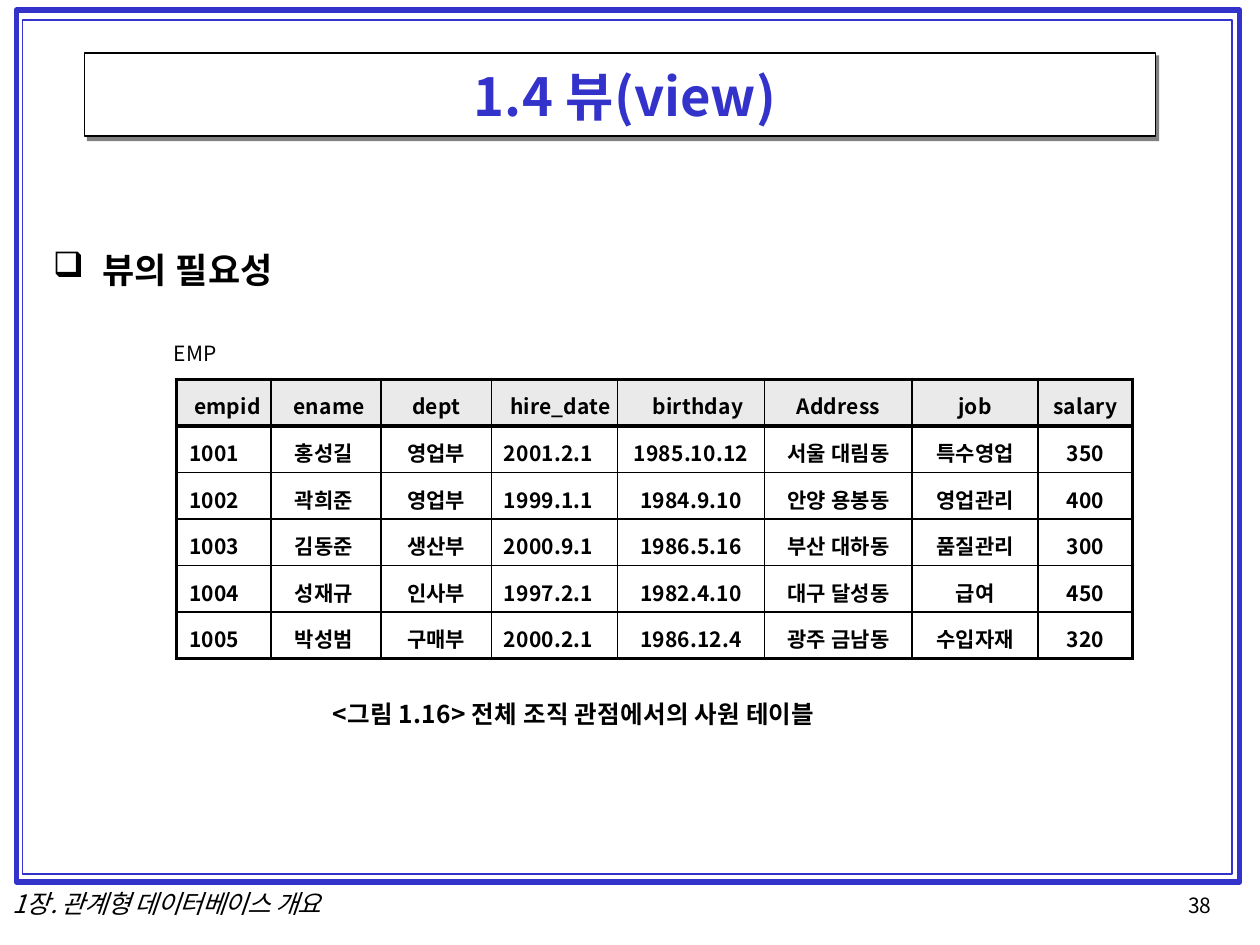
from lxml import etree
from pptx import Presentation
from pptx.dml.color import RGBColor
from pptx.enum.shapes import MSO_SHAPE
from pptx.enum.text import PP_ALIGN
from pptx.oxml.ns import qn
from pptx.util import Inches, Pt

BLUE = RGBColor(0x33, 0x33, 0xCC)
BLACK = RGBColor(0, 0, 0)
GRAY = RGBColor(0x80, 0x80, 0x80)
HEADER_GRAY = RGBColor(0xEA, 0xEA, 0xEA)
RECTANGLE = MSO_SHAPE.RECTANGLE
LEFT, CENTER = PP_ALIGN.LEFT, PP_ALIGN.CENTER
FONT = "Noto Sans CJK KR"
THIN, THICK = 1, 2.25

COLUMN_WIDTHS = [7.5, 8.75, 8.75, 10, 11.7, 11.7, 10, 7.5]
HEADER_INDENTS = [1.4, 1.8, None, 1.5, 2.8, None, None, None]
BODY_INDENTS = [1, 1.9, None, 1, None, None, None, None]
EMPLOYEES = [
    ["empid", "ename", "dept", "hire_date", "birthday", "Address", "job", "salary"],
    ["1001", "홍성길", "영업부", "2001.2.1", "1985.10.12", "서울 대림동", "특수영업", "350"],
    ["1002", "곽희준", "영업부", "1999.1.1", "1984.9.10", "안양 용봉동", "영업관리", "400"],
    ["1003", "김동준", "생산부", "2000.9.1", "1986.5.16", "부산 대하동", "품질관리", "300"],
    ["1004", "성재규", "인사부", "1997.2.1", "1982.4.10", "대구 달성동", "급여", "450"],
    ["1005", "박성범", "구매부", "2000.2.1", "1986.12.4", "광주 금남동", "수입자재", "320"],
]


class SlideBuilder:
    GRID_COLUMNS = 100

    def __init__(self, presentation):
        self.unit = presentation.slide_width / self.GRID_COLUMNS
        self.slide = presentation.slides.add_slide(presentation.slide_layouts[6])

    def length(self, cells):
        return round(cells * self.unit)

    def box(self, *cells):
        return [self.length(cell) for cell in cells]

    def frame(self, position, color, width):
        shape = self.slide.shapes.add_shape(RECTANGLE, *self.box(*position))
        shape.shadow.inherit = False
        shape.fill.background()
        shape.line.color.rgb = color
        shape.line.width = Pt(width)

    def outline(self, points, color):
        start, *others = [self.box(*point) for point in points]
        builder = self.slide.shapes.build_freeform(*start)
        builder.add_line_segments(others)
        shape = builder.convert_to_shape()
        shape.shadow.inherit = False
        shape.fill.solid()
        shape.fill.fore_color.rgb = color
        shape.line.fill.background()

    def styled_run(self, paragraph, text, color=BLACK, spacing=0.1, **formats):
        run = paragraph.add_run()
        run.text = text
        for name, value in {"name": FONT, **formats}.items():
            setattr(run.font, name, value)
        run.font.color.rgb = color
        properties = run._r.get_or_add_rPr()
        properties.set("spc", str(round(spacing * 100)))
        etree.SubElement(properties, qn("a:ea")).set("typeface", FONT)

    def margins(self, target, left, top):
        values = {"margin_left": left, "margin_top": top, "margin_right": 0, "margin_bottom": 0}
        for name, value in values.items():
            setattr(target, name, self.length(value))

    def text(self, position, text, indent=0.1, top=0.1, line=None, bullet=None, **style):
        frame = self.slide.shapes.add_textbox(*self.box(*position)).text_frame
        frame.word_wrap = True
        self.margins(frame, 0 if bullet else indent, top)
        paragraph = frame.paragraphs[0]
        if line:
            paragraph.line_spacing = Pt(line)
        if bullet:
            properties = paragraph._p.get_or_add_pPr()
            properties.set("marL", str(self.length(indent)))
            properties.set("indent", str(-self.length(indent)))
            etree.SubElement(properties, qn("a:buChar")).set("char", bullet)
        self.styled_run(paragraph, text, **style)

    def border(self, cell, widths):
        properties = cell._tc.get_or_add_tcPr()
        for index, (side, width) in enumerate(widths.items()):
            line = etree.Element(qn(f"a:{side}"), w=str(Pt(width)))
            fill = etree.SubElement(line, qn("a:solidFill"))
            etree.SubElement(fill, qn("a:srgbClr")).set("val", str(BLACK))
            properties.insert(index, line)

    def table(self, left, top, row_height, widths, rows):
        size = (len(rows), len(widths))
        box = self.box(left, top, sum(widths), row_height * len(rows))
        table = self.slide.shapes.add_table(*size, *box).table
        table.first_row = table.horz_banding = False
        for column, width in zip(table.columns, widths):
            column.width = self.length(width)
        last_row, last_column = size[0] - 1, size[1] - 1
        for row_index, values in enumerate(rows):
            table.rows[row_index].height = self.length(row_height)
            indents = BODY_INDENTS if row_index else HEADER_INDENTS
            for column_index, (value, indent) in enumerate(zip(values, indents)):
                cell = table.cell(row_index, column_index)
                self.margins(cell, indent or 0, 0.9)
                if row_index:
                    cell.fill.background()
                else:
                    cell.fill.solid()
                    cell.fill.fore_color.rgb = HEADER_GRAY
                self.border(cell, {
                    "lnL": THICK if column_index == 0 else THIN,
                    "lnR": THICK if column_index == last_column else THIN,
                    "lnT": THICK if row_index <= 1 else THIN,
                    "lnB": THICK if row_index in (0, last_row) else THIN,
                })
                paragraph = cell.text_frame.paragraphs[0]
                paragraph.alignment = CENTER if indent is None else LEFT
                self.styled_run(paragraph, value, size=Pt(12), bold=True)


def main():
    presentation = Presentation()
    presentation.slide_width, presentation.slide_height = Inches(10), Inches(7.5)
    builder = SlideBuilder(presentation)

    builder.frame((1.3, 0.8, 97.1, 69.2), BLUE, 3)
    builder.frame((1.8, 1.6, 96, 67.8), BLUE, 1)
    builder.outline([(91.7, 4.4), (92, 4.4), (92, 11.2), (6.9, 11.2), (6.9, 10.8), (91.7, 10.8)], GRAY)
    builder.frame((6.7, 4.2, 85, 6.6), BLACK, 0.75)

    builder.text((6.7, 5, 84.9, 5.3), "1.4 뷰(view)", indent=30.9, color=BLUE, size=Pt(30), bold=True)
    builder.text((0.9, 70.6, 27.4, 2.3), "1장. 관계형 데이터베이스 개요", top=0, line=16.6,
                 spacing=-0.45, size=Pt(14.5), italic=True)
    builder.text((93.9, 70.9, 2.9, 1.9), "38", indent=0.4, top=0, line=13.7, spacing=0, size=Pt(12))
    builder.text((4.2, 19.6, 18.6, 3.6), "뷰의 필요성", indent=3.9, bullet="❑",
                 spacing=0.2, size=Pt(20), bold=True)
    builder.table(14, 30.1, 3.7, COLUMN_WIDTHS, EMPLOYEES)
    builder.text((13.7, 26.9, 3.7, 2.3), "EMP", spacing=0, size=Pt(12))
    builder.text((26.3, 55.4, 41.2, 2.6), "<그림 1.16> 전체 조직 관점에서의 사원 테이블",
                 spacing=0.13, size=Pt(14), bold=True)

    presentation.save("out.pptx")


if __name__ == "__main__":
    main()
